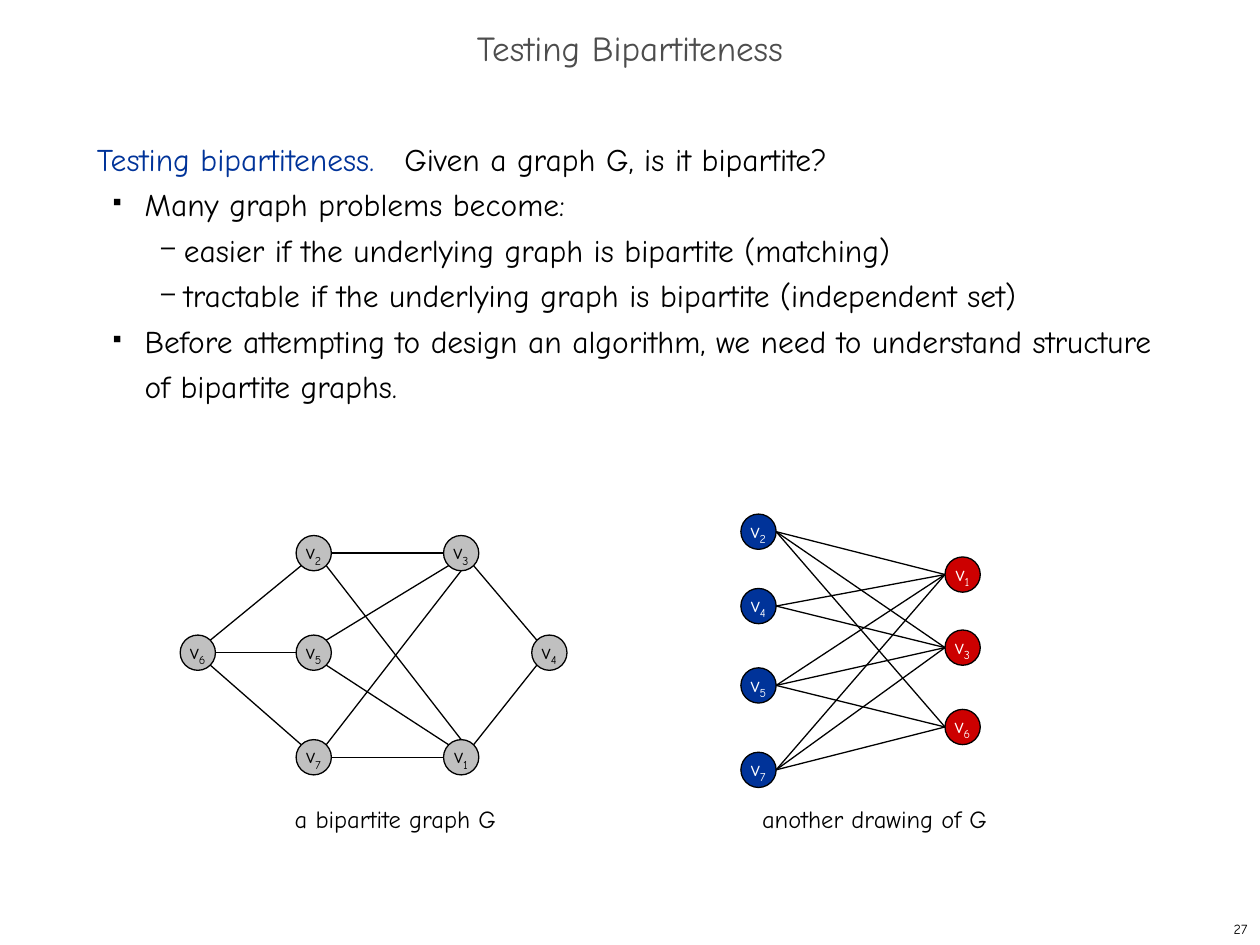
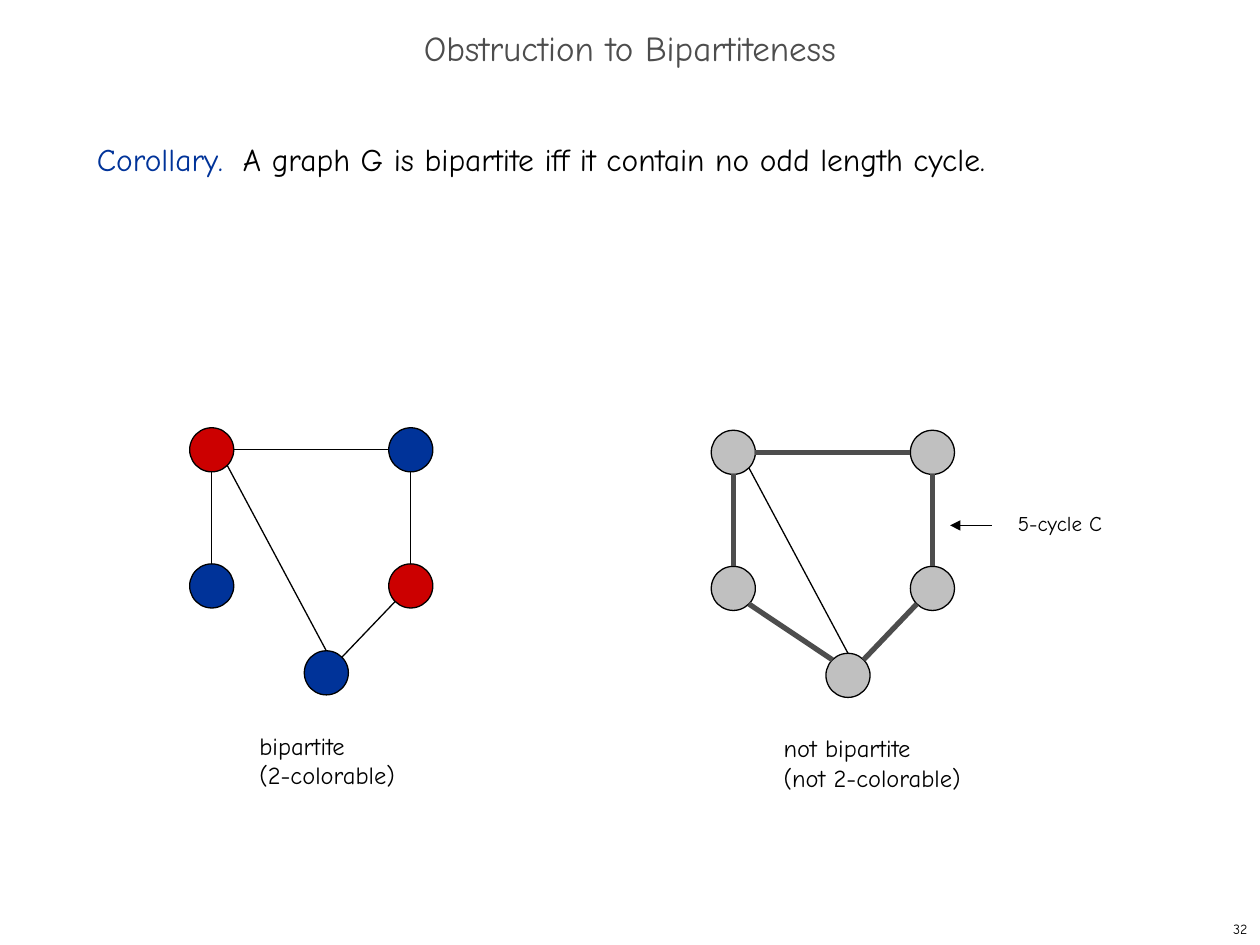
"""Builds two slides on bipartite graphs."""
import itertools
import math

import lxml.etree
import pptx
import pptx.dml.color
import pptx.enum.shapes
import pptx.enum.text
import pptx.oxml.ns
import pptx.util

Inches = pptx.util.Inches
Pt = pptx.util.Pt
ALIGN = pptx.enum.text.PP_ALIGN
ANCHOR = pptx.enum.text.MSO_ANCHOR
FONT = "Comic Neue"
BLACK, WHITE, GRAY = "000000", "FFFFFF", "4D4D4D"
BLUE, RED, SILVER = "003399", "CC0000", "C0C0C0"
THIN, THICK = 0.75, 3
SMALL, LARGE = 0.28, 0.35
DIAG = math.sqrt(0.5)
SIDES = {
    "n": (0, -1), "s": (0, 1), "e": (1, 0), "w": (-1, 0),
    "ne": (DIAG, -DIAG), "nw": (-DIAG, -DIAG),
    "se": (DIAG, DIAG), "sw": (-DIAG, DIAG),
}
BULLETS = {1: ("■", 35, 0.38, -0.25), 2: ("–", 80, 0.69, -0.18)}


def color(code):
    """Turn a hex string into a colour."""
    return pptx.dml.color.RGBColor.from_string(code)


def style(par, size, code=BLACK):
    """Set the font of a paragraph."""
    par.font.name = FONT
    par.font.size = Pt(size)
    par.font.color.rgb = color(code)


def add_tag(parent, name, **attrs):
    """Append a drawing element to a parent."""
    return lxml.etree.SubElement(parent, pptx.oxml.ns.qn("a:" + name), attrs)


def add_box(slide, left, top, width, height, wrap=True):
    """Add an empty text box and return its frame."""
    box = slide.shapes.add_textbox(*map(Inches, (left, top, width, height)))
    box.text_frame.word_wrap = wrap
    return box.text_frame


def add_label(slide, text, left, top, width, height, size=14):
    """Add a caption that does not wrap."""
    par = add_box(slide, left, top, width, height, False).paragraphs[0]
    par.text = text
    style(par, size)


def add_page(deck, title, number):
    """Add a slide with its title and page number."""
    slide = deck.slides.add_slide(deck.slide_layouts[5])
    head = slide.shapes.title
    head.left, head.top = Inches(0), Inches(0.17)
    head.width, head.height = Inches(10), Inches(0.5)
    frame = head.text_frame
    frame.text = title
    frame.auto_size = pptx.enum.text.MSO_AUTO_SIZE.NONE
    frame.vertical_anchor = ANCHOR.MIDDLE
    par = frame.paragraphs[0]
    par.alignment = ALIGN.CENTER
    par.line_spacing = 0.7
    style(par, 20, GRAY)
    foot = add_box(slide, 7.92, 7.25, 2.08, 0.25)
    foot.vertical_anchor = ANCHOR.MIDDLE
    par = foot.paragraphs[0]
    par.text = str(number)
    par.alignment = ALIGN.RIGHT
    style(par, 8)
    return slide


def add_body(slide, term, claim, stop, points=()):
    """Add a term with its claim, then bulleted points."""
    frame = add_box(slide, 0.67, 1, 8.58, 5.92)
    par = frame.paragraphs[0]
    tabs = add_tag(par._p.get_or_add_pPr(), "tabLst")
    add_tag(tabs, "tab", pos=str(Inches(stop)), algn="l")
    style(par, 18)
    for text, code in ((term + "\t", BLUE), (claim, BLACK)):
        run = par.add_run()
        run.text = text
        run.font.color.rgb = color(code)
    for level, text in points:
        par = frame.add_paragraph()
        par.text = text
        par.level = level
        mark, scale, margin, indent = BULLETS[level]
        props = par._p.get_or_add_pPr()
        props.set("marL", str(Inches(margin)))
        props.set("indent", str(Inches(indent)))
        add_tag(props, "buSzPct", val=str(scale * 1000))
        add_tag(props, "buChar", char=mark)
        style(par, 18)
    for par in frame.paragraphs:
        par.line_spacing = Pt(26)


def add_node(slide, center, size, fill, name="", ink=BLACK):
    """Add a round node, with a numbered label if it has a name."""
    x, y = center
    kind = pptx.enum.shapes.MSO_SHAPE.OVAL
    node = slide.shapes.add_shape(
        kind, Inches(x - size / 2), Inches(y - size / 2), Inches(size), Inches(size))
    node.shadow.inherit = False
    node.fill.solid()
    node.fill.fore_color.rgb = color(fill)
    node.line.color.rgb = color(BLACK)
    node.line.width = Pt(THIN)
    if name:
        frame = node.text_frame
        frame.word_wrap = False
        frame.vertical_anchor = ANCHOR.MIDDLE
        par = frame.paragraphs[0]
        par.alignment = ALIGN.CENTER
        style(par, 12, ink)
        par.add_run().text = "v"
        sub = par.add_run()
        sub.text = name
        sub._r.get_or_add_rPr().set("baseline", "-25000")


def add_line(slide, start, end, code=BLACK, width=THIN, arrow=False):
    """Add a straight line, with an arrowhead if asked."""
    kind = pptx.enum.shapes.MSO_CONNECTOR.STRAIGHT
    line = slide.shapes.add_connector(kind, *map(Inches, (*start, *end)))
    line.line.color.rgb = color(code)
    line.line.width = Pt(width)
    if arrow:
        add_tag(line.line._get_or_add_ln(), "tailEnd", type="triangle")
    add_tag(line._element.spPr, "effectLst")


def find_rim(spots, size, end):
    """Find the rim point for a node and side such as 2sw."""
    (x, y), (dx, dy) = spots[end[0]], SIDES[end[1:]]
    return x + dx * size / 2, y + dy * size / 2


def add_edges(slide, spots, size, edges, code=BLACK, width=THIN):
    """Join nodes by edges such as 2sw-6ne."""
    for edge in edges.split():
        start, end = (find_rim(spots, size, part) for part in edge.split("-"))
        add_line(slide, start, end, code, width)


def draw_graph(slide):
    """Draw the graph with plain nodes."""
    spots = {
        "1": (3.66, 6.01), "2": (2.49, 4.39), "3": (3.66, 4.39),
        "6": (1.57, 5.18), "5": (2.49, 5.18), "4": (4.36, 5.18),
        "7": (2.49, 6.01),
    }
    for name, spot in spots.items():
        add_node(slide, spot, SMALL, SILVER, name)
    add_edges(slide, spots, SMALL,
              "2sw-6ne 2e-3w 3se-4nw 1ne-4sw 1nw-5se 1w-7e "
              "6se-7nw 5w-6e 3sw-5ne 3s-7ne 1n-2se")
    add_label(slide, "a bipartite graph G", 2.24, 6.33, 1.81, 0.33)


def draw_split(slide):
    """Draw the graph with its two sides apart."""
    blues = {"2": 4.22, "4": 4.81, "5": 5.44, "7": 6.11}
    reds = {"1": 4.56, "3": 5.14, "6": 5.77}
    spots = {}
    for side, x, fill in ((blues, 6.02, BLUE), (reds, 7.64, RED)):
        for name, y in side.items():
            spots[name] = x, y
            add_node(slide, spots[name], SMALL, fill, name, WHITE)
    pairs = set(itertools.product(blues, reds)) - {("4", "6")}
    add_edges(slide, spots, SMALL,
              " ".join(f"{a}e-{b}w" for a, b in sorted(pairs)))
    add_label(slide, "another drawing of G", 5.95, 6.33, 2, 0.33)


def draw_cycle(slide, left, top, fills, thin, thick=""):
    """Draw five nodes with thin and thick edges."""
    moves = {"a": (0, 0), "b": (1.58, 0), "c": (0, 1.08),
             "d": (1.58, 1.08), "e": (0.91, 1.77)}
    spots = {name: (left + x, top + y) for name, (x, y) in moves.items()}
    for spot, fill in zip(spots.values(), fills):
        add_node(slide, spot, LARGE, fill)
    add_edges(slide, spots, LARGE, thin)
    add_edges(slide, spots, LARGE, thick, GRAY, THICK)


def main():
    """Build and save the deck."""
    deck = pptx.Presentation()
    deck.slide_width, deck.slide_height = Inches(10), Inches(7.5)

    slide = add_page(deck, "Testing Bipartiteness", 27)
    add_body(slide, "Testing bipartiteness.", "Given a graph G, is it bipartite?", 2.44, (
        (1, "Many graph problems become:"),
        (2, "easier if the underlying graph is bipartite (matching)"),
        (2, "tractable if the underlying graph is bipartite (independent set)"),
        (1, "Before attempting to design an algorithm, we need to understand "
            "structure of bipartite graphs."),
    ))
    draw_graph(slide)
    draw_split(slide)

    slide = add_page(deck, "Obstruction to Bipartiteness", 32)
    add_body(slide, "Corollary.",
             "A graph G is bipartite iff it contain no odd length cycle.", 1.16)
    draw_cycle(slide, 5.82, 3.59, [SILVER] * 5, "en-ase",
               "ae-bw dn-bs cn-as ene-dsw cse-enw")
    add_label(slide, "5-cycle C", 7.98, 4, 0.87, 0.3, 12)
    add_line(slide, (7.87, 4.17), (7.54, 4.17), arrow=True)
    draw_cycle(slide, 1.68, 3.57, (RED, BLUE, BLUE, RED, BLUE),
               "ae-bw dn-bs cn-as en-ase ene-dsw")
    add_label(slide, "bipartite\v(2-colorable)", 1.96, 5.75, 1.28, 0.57)
    add_label(slide, "not bipartite\v(not 2-colorable)", 6.12, 5.77, 1.62, 0.57)

    deck.save("out.pptx")


if __name__ == "__main__":
    main()
